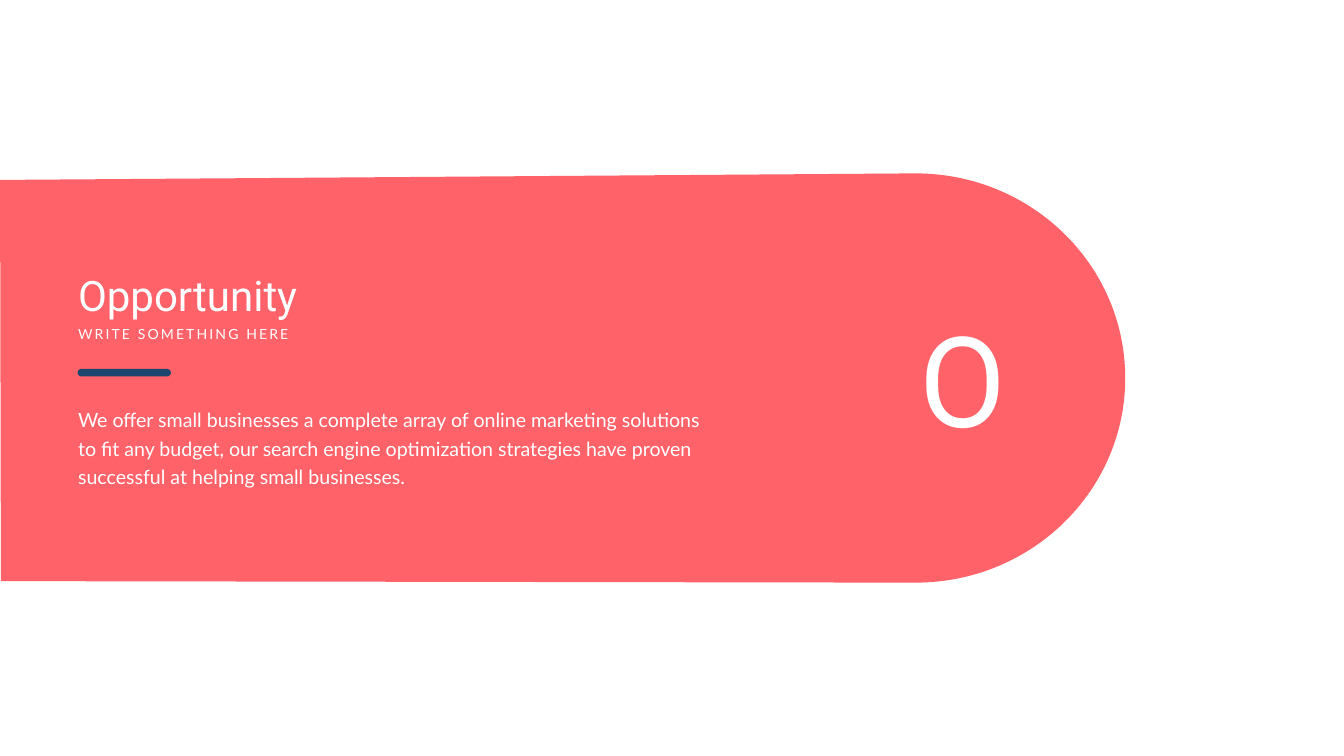
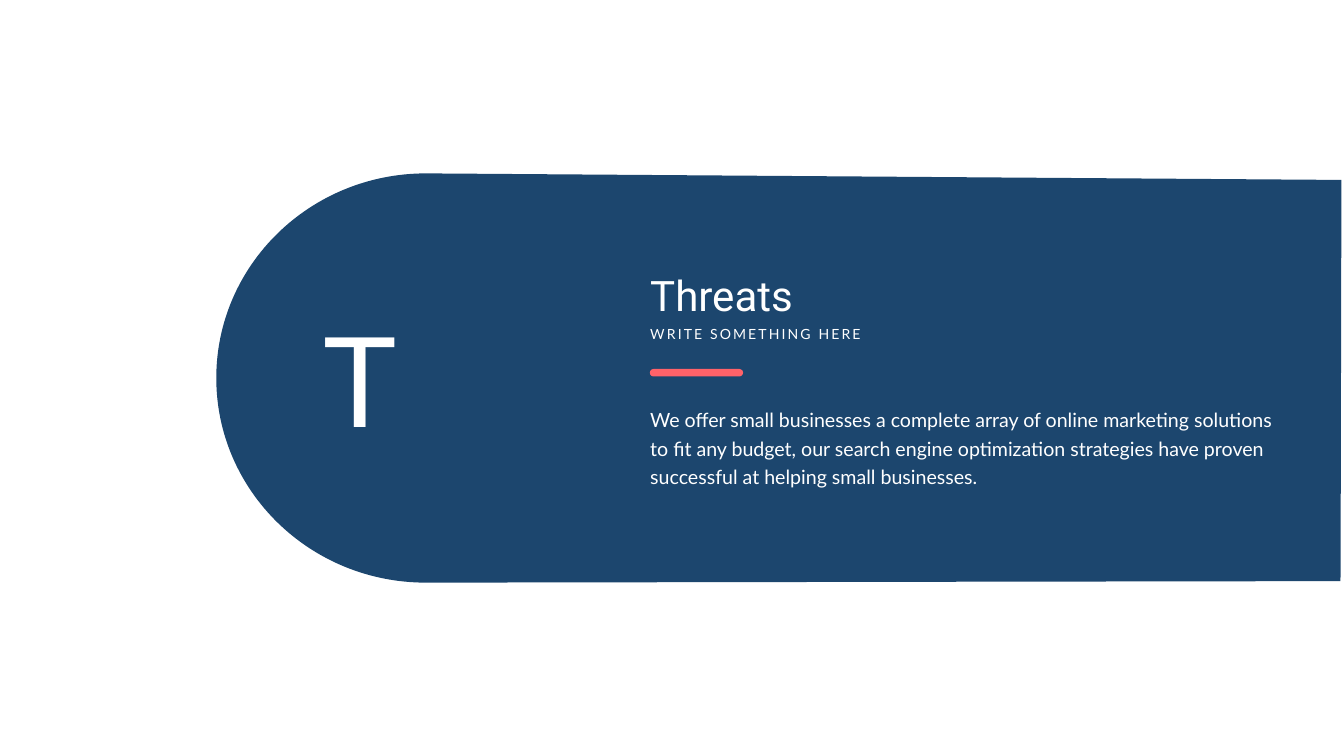
from dataclasses import dataclass

import pptx
import pptx.dml.color
import pptx.enum.shapes
import pptx.enum.text
import pptx.oxml.ns
import pptx.util
from lxml import etree
from pptx.util import Inches, Pt

CORAL, NAVY, WHITE = "FF6269", "1C466E", "FFFFFF"
BODY = (
    "We offer small businesses a complete array of online marketing solutions "
    "to fit any budget, our search engine optimization strategies have proven "
    "successful at helping small businesses."
)

# Outline of a band that enters from the left edge and ends in a round cap.
BAND_RIGHT = 26.61
BAND_START = (0, 3.57)
BAND_TOP = [(18.16, 3.44)]
BAND_CAP = [(20.46, 3.44), (22.32, 5.26), (22.32, 7.5),
            (22.32, 9.74), (20.46, 11.56), (18.16, 11.56)]
BAND_BOTTOM = [(0.02, 11.53)]
BAND_EDGE = [(0.01, 8.85), (0.01, 6.24), BAND_START]
CURVE_STARTS = (1, 4, 8)  # index of each curve's first control point


@dataclass
class Section:
    letter: str
    title: str
    band_color: str
    bar_color: str
    mirrored: bool
    text_left: float
    letter_left: float
    letter_width: float


@dataclass
class TextStyle:
    font: str
    size: float
    spacing: float = 0
    line_height: float = 0
    centered: bool = False


TITLE = TextStyle("Roboto", 60)
SUBTITLE = TextStyle("Lato", 20, spacing=3)
PARAGRAPH = TextStyle("Lato", 28, line_height=40.8)
LETTER = TextStyle("Roboto", 180, centered=True)

SECTIONS = [
    Section("O", "Opportunity", CORAL, NAVY, False, 1.45, 18.06, 2.06),
    Section("T", "Threats", NAVY, CORAL, True, 12.8, 5.41, 3.48),
]


def rgb(color: str) -> pptx.dml.color.RGBColor:
    return pptx.dml.color.RGBColor.from_string(color)


def paint(sp, color: str) -> None:
    sp.fill.solid()
    sp.fill.fore_color.rgb = rgb(color)
    sp.line.fill.background()
    sp.shadow.inherit = False


def add_text(shapes, text: str, style: TextStyle, left: float, top: float,
             width: float, height: float) -> None:
    sp = shapes.add_textbox(Inches(left), Inches(top), Inches(width), Inches(height))
    tf = sp.text_frame
    tf.word_wrap = True
    tf.auto_size = pptx.enum.text.MSO_AUTO_SIZE.SHAPE_TO_FIT_TEXT
    p = tf.paragraphs[0]
    if style.centered:
        p.alignment = pptx.enum.text.PP_ALIGN.CENTER
    if style.line_height:
        p.line_spacing = Pt(style.line_height)
    r = p.add_run()
    r.text = text
    r.font.name = style.font
    r.font.size = Pt(style.size)
    r.font.color.rgb = rgb(WHITE)
    if style.spacing:
        r.font._element.set("spc", str(round(style.spacing * 100)))


def merge_curves(sp) -> None:
    """Turn each control-point triple of line segments into one Bezier curve."""
    qn = pptx.oxml.ns.qn
    lines = list(sp._element.iter(qn("a:lnTo")))
    for start in CURVE_STARTS:
        triple = lines[start:start + 3]
        curve = etree.Element(qn("a:cubicBezTo"))
        triple[0].addprevious(curve)
        for line in triple:
            curve.append(line[0])
            line.getparent().remove(line)


def add_band(shapes, color: str, mirrored: bool) -> None:
    def place(point: tuple[float, float]) -> tuple[int, int]:
        x, y = point
        return Inches(BAND_RIGHT - x if mirrored else x), Inches(y)

    builder = shapes.build_freeform(*place(BAND_START))
    outline = BAND_TOP + BAND_CAP + BAND_BOTTOM + BAND_EDGE
    builder.add_line_segments([place(point) for point in outline], close=True)
    sp = builder.convert_to_shape()
    merge_curves(sp)
    paint(sp, color)


def add_bar(shapes, color: str, left: float) -> None:
    sp = shapes.add_shape(pptx.enum.shapes.MSO_SHAPE.ROUNDED_RECTANGLE,
                          Inches(left), Inches(7.32), Inches(1.85), Inches(0.15))
    sp.adjustments[0] = 0.5
    paint(sp, color)


def add_section(prs, section: Section) -> None:
    s = prs.slides.add_slide(prs.slide_layouts[6])
    s.background.fill.solid()
    s.background.fill.fore_color.rgb = rgb(WHITE)
    add_band(s.shapes, section.band_color, section.mirrored)
    left = section.text_left
    group = s.shapes.add_group_shape().shapes
    add_text(group, section.title, TITLE, left, 5.29, 9.76, 1.11)
    add_text(group, "WRITE SOMETHING HERE", SUBTITLE, left, 6.4, 5.85, 0.44)
    add_text(group, BODY, PARAGRAPH, left, 7.95, 12.71, 1.77)
    add_bar(group, section.bar_color, left + 0.09)
    add_text(s.shapes, section.letter, LETTER,
             section.letter_left, 5.93, section.letter_width, 3.13)


def main() -> None:
    prs = pptx.Presentation()
    prs.slide_width, prs.slide_height = Inches(26.66), Inches(15)
    for section in SECTIONS:
        add_section(prs, section)
    prs.save("out.pptx")


if __name__ == "__main__":
    main()
